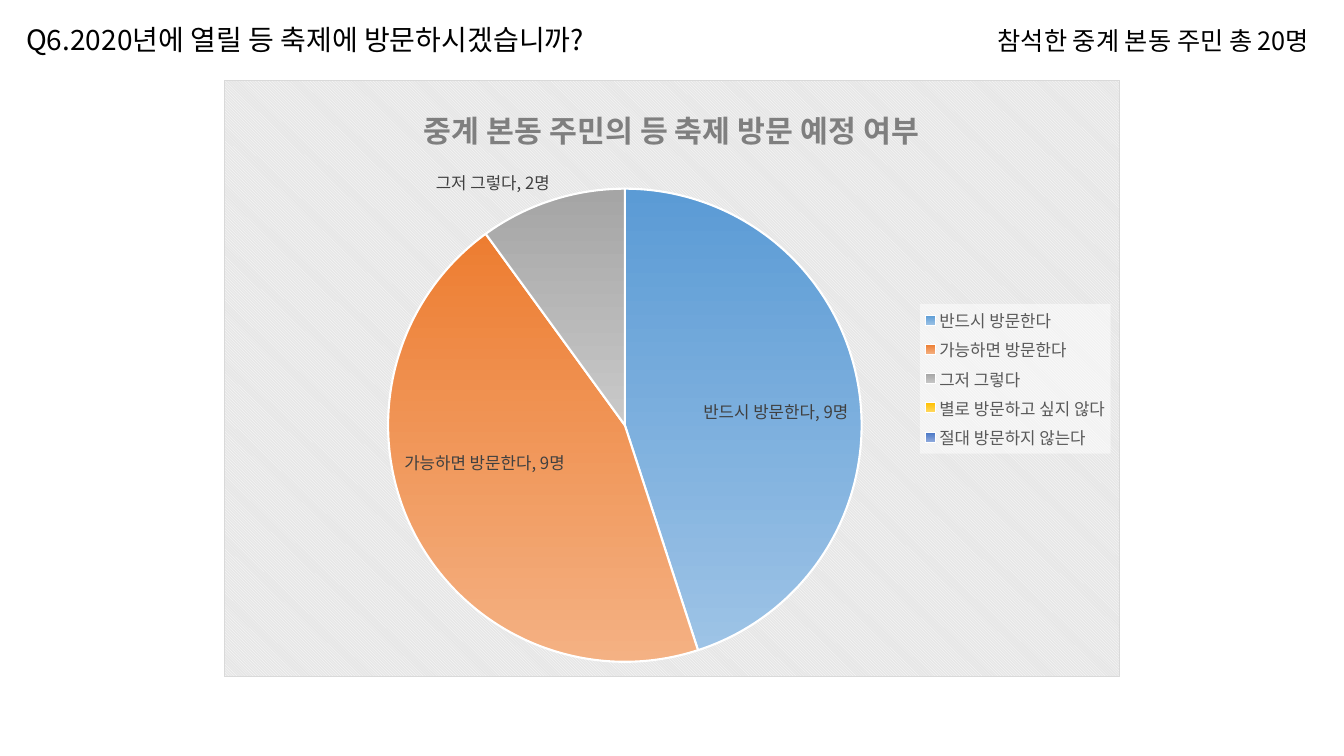
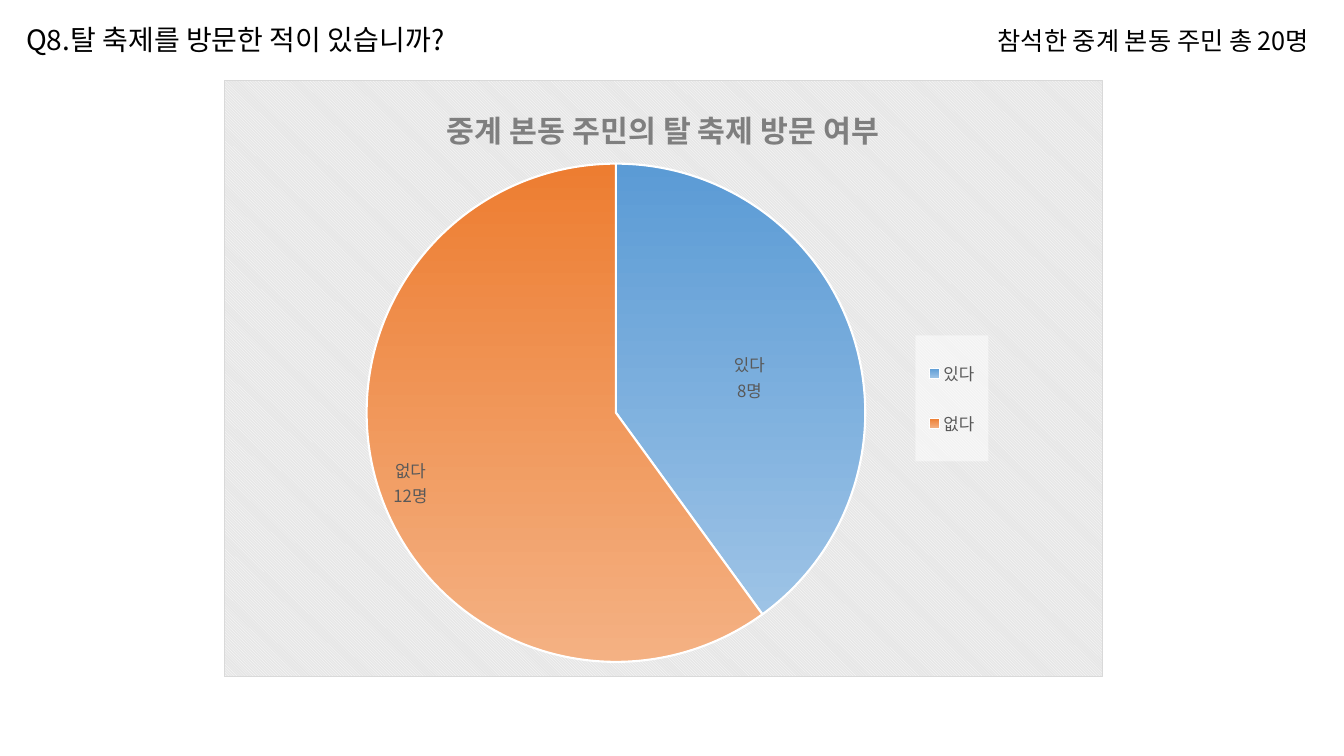
from lxml import etree
from pptx import Presentation
from pptx import util as u
from pptx.chart.data import CategoryChartData
from pptx.dml.color import RGBColor
from pptx.enum import chart as ch
from pptx.enum import text as tx
from pptx.oxml import parse_xml
from pptx.oxml.ns import nsdecls, qn

WIDE, HIGH = u.Inches(13.33), u.Inches(7.5)
FONT = "Noto Sans CJK KR"
HUES = {
    "ink": "000000", "white": "FFFFFF", "head": "7F7F7F", "key": "595959",
    "dark": "404040", "panel": "E6E6E6", "edge": "D9D9D9",
}
FADES = [("5B9BD5", "9DC3E6"), ("ED7D31", "F4B183"), ("A5A5A5", "C9C9C9"),
         ("FFC000", "FFD966"), ("4472C4", "8FAADC")]
CENTER = ch.XL_LABEL_POSITION.CENTER
OUTER = ch.XL_LABEL_POSITION.OUTSIDE_END
TOTAL = "참석한 중계 본동 주민 총 20명"

POLLS = [
    {
        "ask": "Q6.2020년에 열릴 등 축제에 방문하시겠습니까?",
        "head": "중계 본동 주민의 등 축제 방문 예정 여부",
        "box": (16.65, 10.53, 66.69, 79.07),
        "cats": ["반드시 방문한다", "가능하면 방문한다", "그저 그렇다",
                 "별로 방문하고 싶지 않다", "절대 방문하지 않는다"],
        "vals": [9, 9, 2, 0, 0],
        "labels": [("반드시 방문한다, 9명", CENTER, 3.8, 0.8),
                   ("가능하면 방문한다, 9명", CENTER, -3.9, -2.9),
                   ("그저 그렇다, 2명", OUTER, 0, 0)],
        "tone": "dark",
        "pie": (18.3, 18.2, 52.9, 79.3),
        "key": (77.7, 37.5, 21.3, 25.1),
    },
    {
        "ask": "Q8.탈 축제를 방문한 적이 있습니까?",
        "head": "중계 본동 주민의 탈 축제 방문 여부",
        "box": (16.65, 10.53, 65.42, 79.07),
        "cats": ["있다", "없다"],
        "vals": [8, 12],
        "labels": [("있다\n8명", CENTER, 1.7, 0.5),
                   ("없다\n12명", CENTER, -9.9, 5.3)],
        "tone": "key",
        "pie": (16.2, 14, 56.8, 83.5),
        "key": (78.7, 42.8, 8.3, 21.1),
    },
]


def style(font, size, hue, bold=False, kern=None):
    font.size, font.bold = u.Pt(size), bold
    font.name = FONT
    font.color.rgb = RGBColor.from_string(HUES[hue])
    props = font._element
    east = etree.Element(qn("a:ea"), typeface=FONT)
    props.find(qn("a:latin")).addnext(east)
    if kern is not None:
        props.set("kern", str(kern))


def write(frame, words, **form):
    for i, line in enumerate(words.split("\n")):
        para = frame.paragraphs[0] if i == 0 else frame.add_paragraph()
        run = para.add_run()
        run.text = line
        style(run.font, **form)


def place(shape, box):
    x, y, w, h = (part / 100 for part in box)
    shape.left, shape.top = round(WIDE * x), round(HIGH * y)
    shape.width, shape.height = round(WIDE * w), round(HIGH * h)


def header(slide, ask):
    note = slide.shapes.add_textbox(0, 0, 0, 0)
    parts = [(slide.shapes.title, ask, 20, (1.2, 2.3, 50, 5.9)),
             (note, TOTAL, 18, (73.5, 2.7, 26.5, 5.3))]
    for shape, words, size, box in parts:
        place(shape, box)
        frame = shape.text_frame
        frame.word_wrap = False
        frame.auto_size = tx.MSO_AUTO_SIZE.NONE
        frame.vertical_anchor = tx.MSO_ANCHOR.MIDDLE
        write(frame, words, size=size, hue="ink", kern=0)
        frame.paragraphs[0].alignment = tx.PP_ALIGN.LEFT


def layout(node, x, y, w=None, h=None, inner=False, edge=True):
    for old in node.getparent().findall(qn("c:layout")):
        old.getparent().remove(old)
    tags = []
    if inner:
        tags.append('<c:layoutTarget val="inner"/>')
    if edge:
        tags.append('<c:xMode val="edge"/><c:yMode val="edge"/>')
    for name, val in zip("xywh", (x, y, w, h)):
        if val is not None:
            tags.append(f'<c:{name} val="{val / 100:.3f}"/>')
    body = "".join(tags)
    return parse_xml(f'<c:layout {nsdecls("c")}><c:manualLayout>{body}'
                     '</c:manualLayout></c:layout>')


def paint(after, fill, line):
    after.addnext(parse_xml(
        f'<c:spPr {nsdecls("c", "a")}>{fill}{line}</c:spPr>'))


def color(hue, inner=""):
    return f'<a:srgbClr val="{HUES[hue]}">{inner}</a:srgbClr>'


def panel(chart):
    fill = (f'<a:pattFill prst="dkDnDiag"><a:fgClr>{color("white")}</a:fgClr>'
            f'<a:bgClr>{color("panel")}</a:bgClr></a:pattFill>')
    line = f'<a:ln w="9525"><a:solidFill>{color("edge")}</a:solidFill></a:ln>'
    paint(chart._chartSpace.find(qn("c:chart")), fill, line)


def legend(chart, box):
    chart.has_legend = True
    key = chart.legend
    key.position = ch.XL_LEGEND_POSITION.RIGHT
    key.include_in_layout = False
    style(key.font, 12, "key")
    node = key._element
    first = node.find(qn("c:legendPos"))
    first.addnext(layout(first, *box))
    veil = color("white", '<a:alpha val="50000"/>')
    paint(node.find(qn("c:overlay")), f"<a:solidFill>{veil}</a:solidFill>",
          "<a:ln><a:noFill/></a:ln>")


def slices(series, count):
    for i in range(count):
        form = series.points[i].format
        form.fill.gradient()
        form.fill.gradient_angle = 270
        for stop, hue in zip(form.fill.gradient_stops, FADES[i]):
            stop.color.rgb = RGBColor.from_string(hue)
        form.line.width = u.Pt(1.5)
        form.line.color.rgb = RGBColor.from_string(HUES["white"])


def labels(series, poll):
    every = series.data_labels
    every.show_value = every.show_category_name = True
    style(every.font, 12, poll["tone"])
    for i, (words, spot, dx, dy) in enumerate(poll["labels"]):
        label = series.points[i].data_label
        write(label.text_frame, words, size=12, hue=poll["tone"])
        label.position = spot
        node = label._get_or_add_dLbl()
        for name in ("c:showVal", "c:showCatName"):
            node.find(qn(name)).set("val", "1")
        if dx or dy:
            first = node.find(qn("c:idx"))
            first.addnext(layout(first, dx, dy, edge=False))
    for i in range(len(poll["labels"]), len(poll["vals"])):
        node = series.points[i].data_label._get_or_add_dLbl()
        for part in list(node)[1:]:
            node.remove(part)
        etree.SubElement(node, qn("c:delete")).set("val", "1")


def pie(slide, poll):
    data = CategoryChartData()
    data.categories = poll["cats"]
    data.add_series("Series 1", poll["vals"])
    frame = slide.shapes.add_chart(ch.XL_CHART_TYPE.PIE, 0, 0, WIDE, HIGH, data)
    place(frame, poll["box"])
    chart = frame.chart
    style(chart.font, 10, "ink")
    chart.has_title = True
    write(chart.chart_title.text_frame, poll["head"],
          size=21.6, hue="head", bold=True, kern=1200)
    plot = chart.plots[0]
    plot.vary_by_categories = True
    area = plot._element.getparent()
    area.insert(0, layout(plot._element, *poll["pie"], inner=True))
    slices(plot.series[0], len(poll["vals"]))
    labels(plot.series[0], poll)
    legend(chart, poll["key"])
    panel(chart)


def main():
    deck = Presentation()
    deck.slide_width, deck.slide_height = WIDE, HIGH
    for poll in POLLS:
        slide = deck.slides.add_slide(deck.slide_layouts[5])
        pie(slide, poll)
        header(slide, poll["ask"])
    deck.save("out.pptx")


if __name__ == "__main__":
    main()
